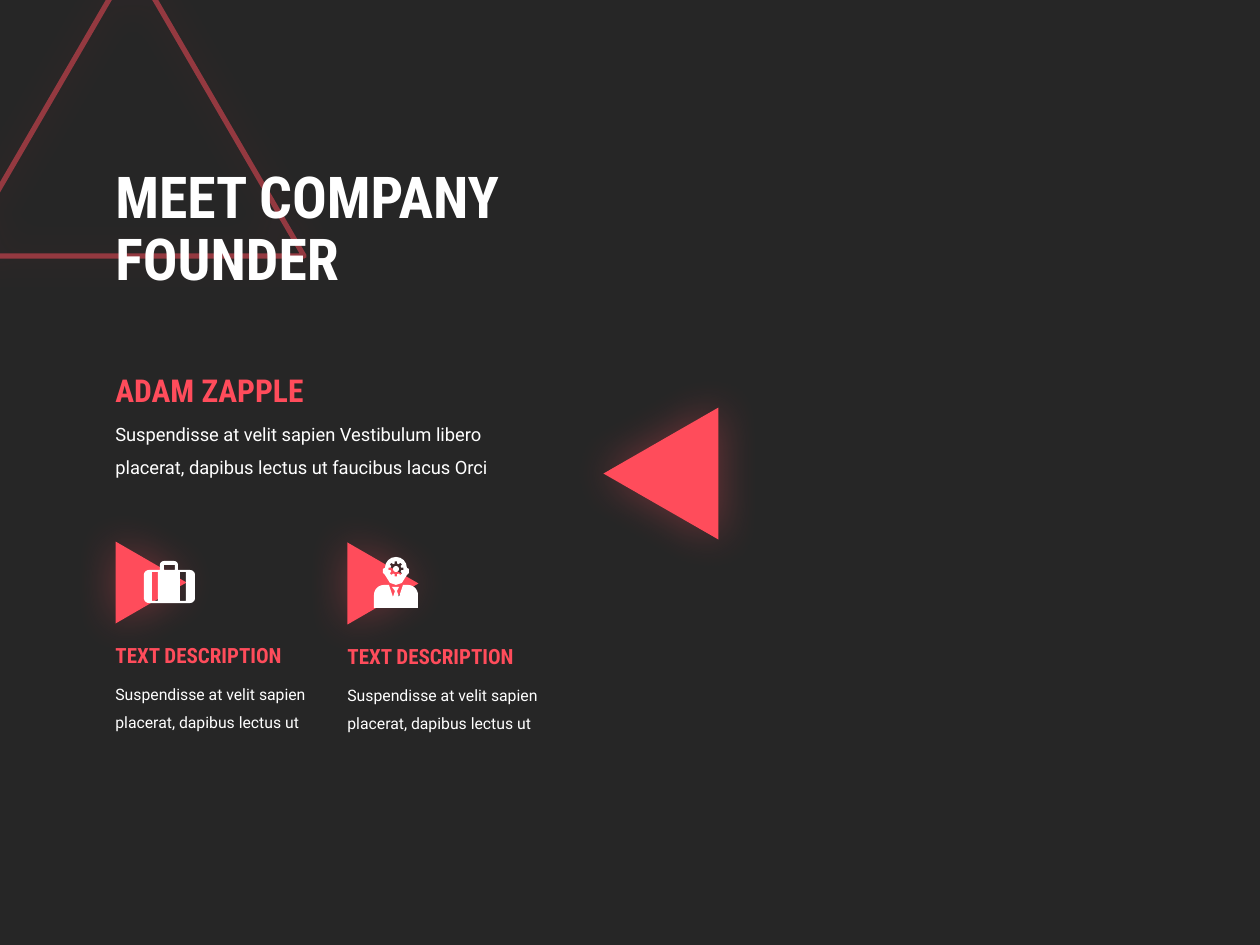
import math
from dataclasses import dataclass

import pptx
import pptx.dml.color
import pptx.enum.shapes
import pptx.enum.text
import pptx.oxml
import pptx.oxml.ns
import pptx.util
from lxml import etree

EMU_PER_PX = 914400 / 126
SHAPES = pptx.enum.shapes.MSO_SHAPE


@dataclass(frozen=True)
class Theme:
    background: str = "262626"
    accent: str = "FF4C5B"
    white: str = "FFFFFF"
    heading_font: str = "Roboto Condensed"
    body_font: str = "Roboto"
    title_size: float = 33
    name_size: float = 18
    label_size: float = 12
    intro_size: float = 10.5
    detail_size: float = 9
    outline_width: float = 3
    outline_opacity: int = 50
    glow_opacity: int = 35
    glow_blur: float = 25


THEME = Theme()


def px(length):
    return pptx.util.Emu(round(length * EMU_PER_PX))


def rgb(colour):
    return pptx.dml.color.RGBColor.from_string(colour)


def paint(shape, colour):
    shape.shadow.inherit = False
    shape.fill.solid()
    shape.fill.fore_color.rgb = rgb(colour)
    shape.line.fill.background()


def set_opacity(colour_element, percent):
    alpha = etree.SubElement(colour_element, pptx.oxml.ns.qn("a:alpha"))
    alpha.set("val", str(percent * 1000))


def add_glow(shape):
    """Put a soft accent shadow directly behind the shape."""
    qn = pptx.oxml.ns.qn
    effects = shape.element.spPr.find(qn("a:effectLst"))
    shadow = etree.SubElement(effects, qn("a:outerShdw"))
    shadow.set("blurRad", str(pptx.util.Pt(THEME.glow_blur)))
    shadow.set("algn", "ctr")
    shadow.set("rotWithShape", "0")
    colour = etree.SubElement(shadow, qn("a:srgbClr"))
    colour.set("val", THEME.accent)
    set_opacity(colour, THEME.glow_opacity)


def add_triangle(slide, left, top, width, height, rotation=0):
    triangle = slide.shapes.add_shape(
        SHAPES.ISOSCELES_TRIANGLE, px(left), px(top), px(width), px(height))
    triangle.rotation = rotation
    paint(triangle, THEME.accent)
    add_glow(triangle)
    return triangle


def add_outline_triangle(slide, left, top, width, height):
    triangle = add_triangle(slide, left, top, width, height)
    triangle.fill.background()
    triangle.line.width = pptx.util.Pt(THEME.outline_width)
    triangle.line.color.rgb = rgb(THEME.accent)
    colour = triangle.line._ln.find(".//" + pptx.oxml.ns.qn("a:srgbClr"))
    set_opacity(colour, THEME.outline_opacity)


def add_text(slide, text, left, top, width, height, size, colour,
             heading=False, spacing=1.0):
    box = slide.shapes.add_textbox(px(left), px(top), px(width), px(height))
    frame = box.text_frame
    frame.word_wrap = True
    frame.text = text
    paragraph = frame.paragraphs[0]
    paragraph.line_spacing = spacing
    for run in paragraph.runs:
        run.font.name = THEME.heading_font if heading else THEME.body_font
        run.font.size = pptx.util.Pt(size)
        run.font.bold = heading
        run.font.color.rgb = rgb(colour)
    return frame


def arc(x, y, radius, start, end, steps=8):
    angles = [math.radians(start + (end - start) * i / steps)
              for i in range(steps + 1)]
    return [(x + radius * math.cos(a), y + radius * math.sin(a)) for a in angles]


def rectangle(left, top, right, bottom):
    return [(left, top), (left, bottom), (right, bottom), (right, top)]


def add_outline(shapes, *contours):
    """Draw the first contour; the others are holes in it."""
    scaled = [[(px(x), px(y)) for x, y in contour] for contour in contours]
    builder = shapes.build_freeform(*scaled[0][0], scale=1.0)
    for number, contour in enumerate(scaled):
        if number:
            builder.move_to(*contour[0])
        builder.add_line_segments(contour[1:], close=True)
    paint(builder.convert_to_shape(), THEME.white)


def add_suitcase(slide):
    case = (arc(149, 575, 5, 180, 270) + [(160, 570)]
            + arc(164, 565, 4, 180, 270) + arc(174, 565, 4, 270, 360)
            + [(178, 570)] + arc(190, 575, 5, 270, 360)
            + arc(190, 598, 5, 0, 90) + arc(149, 598, 5, 90, 180))
    add_outline(slide.shapes, case, rectangle(152, 572, 158, 601),
                rectangle(164, 565, 175, 570), rectangle(180, 572, 186, 601))


def add_thinker(slide):
    person = slide.shapes.add_group_shape().shapes
    # Shoulders with the collar and tie cut out
    collar = [(403, 585), (399, 597), (397, 591), (399, 587),
              (392, 587), (395, 591), (393, 597), (389, 585)]
    add_outline(person, collar + arc(384, 595, 10, 270, 180)
                + [(374, 608), (418, 608)] + arc(408, 595, 10, 0, -90))
    # Head with a gear-shaped hole
    head = (arc(396, 568, 11, 180, 360)
            + [(409, 569), (409, 573), (407, 575), (402, 583), (396, 585),
               (390, 583), (385, 575), (383, 573), (383, 569)])
    gear = []
    for tooth in range(0, -360, -45):
        gear += arc(396, 569, 7.5, tooth + 10, tooth - 10, 2)
        gear += arc(396, 569, 5.5, tooth - 14, tooth - 31, 2)
    add_outline(person, head, gear)
    hub = person.add_shape(SHAPES.OVAL, px(393), px(566), px(6), px(6))
    paint(hub, THEME.white)


def add_feature(slide, left, drop, add_icon):
    add_triangle(slide, left + 7, 547 + drop, 82, 71, 90)
    add_text(slide, "Suspendisse at velit sapien placerat, dapibus lectus ut",
             left, 669 + drop, 219, 67, THEME.detail_size, THEME.white, spacing=1.5)
    add_text(slide, "TEXT DESCRIPTION", left, 636 + drop, 209, 38,
             THEME.label_size, THEME.accent, heading=True)
    add_icon(slide)


def main():
    deck = pptx.Presentation()
    deck.slide_width, deck.slide_height = px(1260), px(945)
    slide = deck.slides.add_slide(deck.slide_layouts[6])
    slide.background.fill.solid()
    slide.background.fill.fore_color.rgb = rgb(THEME.background)

    # Title over the corner triangle
    add_outline_triangle(slide, -40, -40, 344, 296)
    title = add_text(slide, "MEET COMPANY\vFOUNDER", 103, 131, 532, 199,
                     THEME.title_size, THEME.white, heading=True, spacing=0.9)
    title.vertical_anchor = pptx.enum.text.MSO_ANCHOR.MIDDLE

    # Founder
    add_triangle(slide, 595, 416, 132, 115, 270)
    add_text(slide, "Suspendisse at velit sapien Vestibulum libero placerat, "
             "dapibus lectus ut faucibus lacus Orci", 103, 406, 426, 76,
             THEME.intro_size, THEME.white, spacing=1.5)
    add_text(slide, "ADAM ZAPPLE", 103, 365, 232, 50,
             THEME.name_size, THEME.accent, heading=True)

    # Feature columns
    add_feature(slide, 103, 0, add_suitcase)
    add_feature(slide, 335, 1, add_thinker)

    deck.save("out.pptx")


if __name__ == "__main__":
    main()
